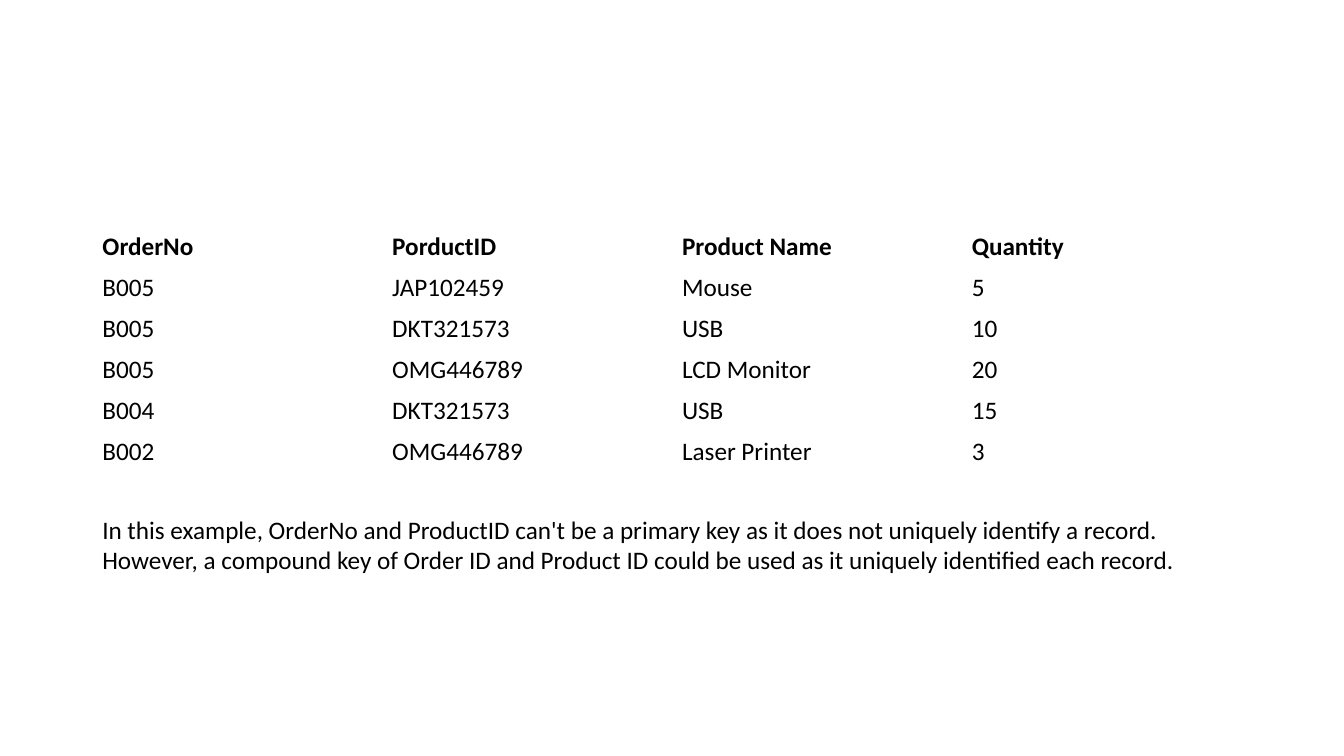
from dataclasses import dataclass
from typing import NamedTuple

from pptx import Presentation
from pptx.dml.color import RGBColor
from pptx.enum.text import MSO_ANCHOR
from pptx.util import Pt


@dataclass(frozen=True)
class Theme:
    """Font, type size and colour used on the slide."""
    font: str = "Calibri"
    body_size: float = 18
    ink: RGBColor = RGBColor(0x00, 0x00, 0x00)


class OrderLine(NamedTuple):
    """One row of the order table."""
    order_no: str
    product_id: str
    product_name: str
    quantity: str


THEME = Theme()
SLIDE_WIDTH, SLIDE_HEIGHT = 960, 540
LEFT, CONTENT_WIDTH = 66, 828
TABLE_TOP, ROW_HEIGHT = 162, 29.16
NOTE_TOP, NOTE_HEIGHT = 363.5, 51

HEADER = OrderLine("OrderNo", "PorductID", "Product Name", "Quantity")
ORDER_LINES = [
    OrderLine("B005", "JAP102459", "Mouse", "5"),
    OrderLine("B005", "DKT321573", "USB", "10"),
    OrderLine("B005", "OMG446789", "LCD Monitor", "20"),
    OrderLine("B004", "DKT321573", "USB", "15"),
    OrderLine("B002", "OMG446789", "Laser Printer", "3"),
]
KEY_NOTE = (
    "In this example, OrderNo and ProductID can't be a primary key as it does "
    "not uniquely identify a record. However, a compound key of Order ID and "
    "Product ID could be used as it uniquely identified each record."
)


def write_text(frame, text: str, bold: bool = False) -> None:
    """Put one styled run of text into a text frame."""
    run = frame.paragraphs[0].add_run()
    run.text = text
    run.font.name = THEME.font
    run.font.size = Pt(THEME.body_size)
    run.font.bold = bold
    run.font.color.rgb = THEME.ink


def add_order_table(slide, lines: list[OrderLine]) -> None:
    """Draw the unfilled table, with the first line as a bold header."""
    table = slide.shapes.add_table(
        len(lines), len(HEADER), Pt(LEFT), Pt(TABLE_TOP),
        Pt(CONTENT_WIDTH), Pt(ROW_HEIGHT * len(lines))).table
    table.first_row = False
    table.horz_banding = False
    for row_index, line in enumerate(lines):
        for column_index, value in enumerate(line):
            cell = table.cell(row_index, column_index)
            cell.fill.background()
            cell.vertical_anchor = MSO_ANCHOR.MIDDLE
            write_text(cell.text_frame, value, bold=row_index == 0)


def add_key_note(slide) -> None:
    """Draw the explanation of the compound key below the table."""
    box = slide.shapes.add_textbox(
        Pt(LEFT), Pt(NOTE_TOP), Pt(CONTENT_WIDTH), Pt(NOTE_HEIGHT))
    box.text_frame.word_wrap = True
    write_text(box.text_frame, KEY_NOTE)


def main() -> None:
    """Build and save the slide."""
    deck = Presentation()
    deck.slide_width, deck.slide_height = Pt(SLIDE_WIDTH), Pt(SLIDE_HEIGHT)
    slide = deck.slides.add_slide(deck.slide_layouts[6])
    add_order_table(slide, [HEADER, *ORDER_LINES])
    add_key_note(slide)
    deck.save("out.pptx")


main()
